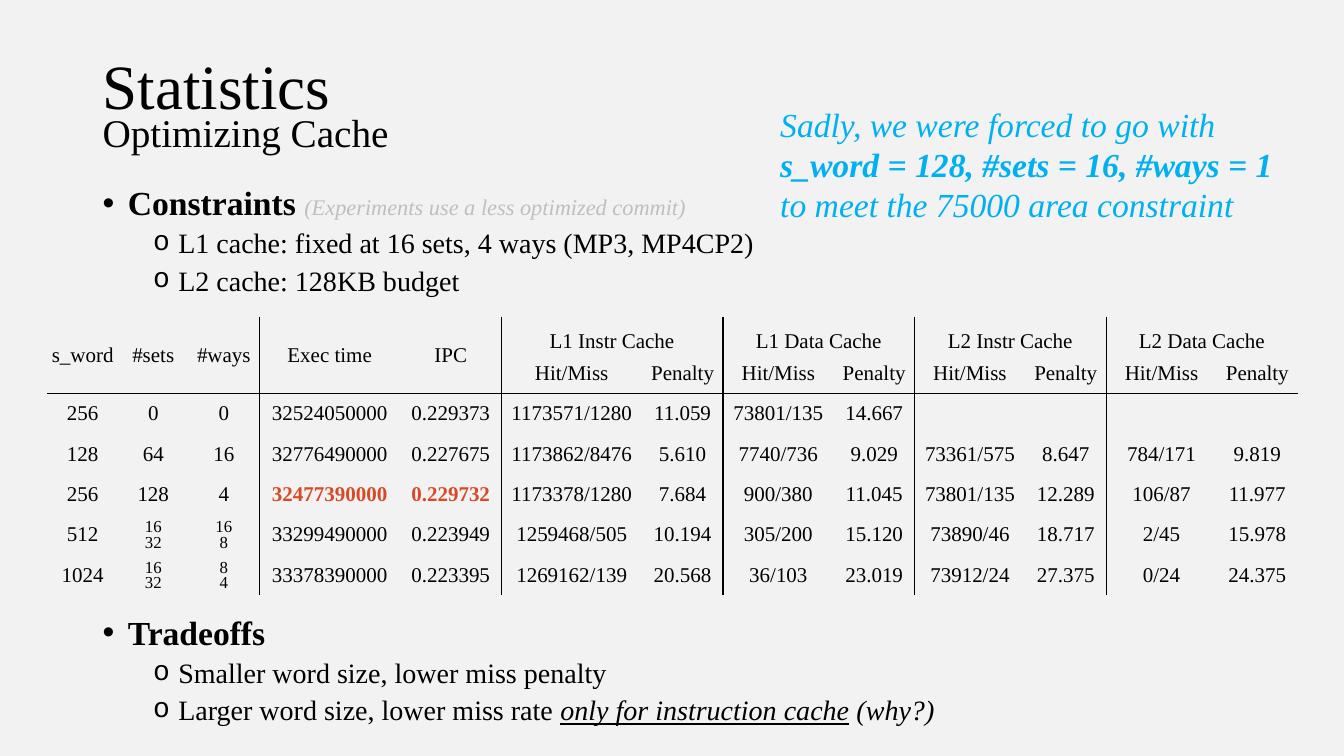
from lxml.etree import SubElement
from pptx import Presentation
from pptx.dml.color import RGBColor
from pptx.enum.text import MSO_ANCHOR, MSO_AUTO_SIZE, PP_ALIGN
from pptx.oxml import parse_xml
from pptx.oxml.ns import nsdecls, qn
from pptx.util import Pt

PX = 9144
FONT = "Times New Roman"
BLACK = RGBColor(0x00, 0x00, 0x00)
GREY = RGBColor(0xBF, 0xBF, 0xBF)
BLUE = RGBColor(0x00, 0xB0, 0xF0)
RED = RGBColor(0xD8, 0x4A, 0x27)
PAPER = RGBColor(0xF2, 0xF2, 0xF2)


def write(par, text, size=20, color=BLACK, bold=False, italic=False, under=False):
    run = par.add_run()
    run.text = text
    font = run.font
    font.name, font.size, font.color.rgb = FONT, Pt(size), color
    font.bold, font.italic, font.underline = bold, italic, under


def edge(props, index, side, width):
    fill = '<a:solidFill><a:srgbClr val="000000"/></a:solidFill>' if width else "<a:noFill/>"
    props.insert(index, parse_xml(
        f'<a:{side} {nsdecls("a")} w="{Pt(width)}">{fill}</a:{side}>'))


deck = Presentation()
deck.slide_width, deck.slide_height = 1333 * PX, 750 * PX
slide = deck.slides.add_slide(deck.slide_layouts[5])
slide.background.fill.solid()
slide.background.fill.fore_color.rgb = PAPER
shapes = slide.shapes

body = shapes.add_textbox(92 * PX, 180 * PX, 1150 * PX, 600 * PX).text_frame
body.word_wrap = True
points = [
    (0, 10, [("Constraints ", dict(size=24, bold=True)),
             ("(Experiments use a less optimized commit)",
              dict(size=16, color=GREY, italic=True))]),
    (1, 5, [("L1 cache: fixed at 16 sets, 4 ways (MP3, MP4CP2)", {})]),
    (1, 5, [("L2 cache: 128KB budget", {})]),
    (0, 228, [("Tradeoffs", dict(size=24, bold=True))]),
    (1, 5, [("Smaller word size, lower miss penalty", {})]),
    (1, 5, [("Larger word size, lower miss rate ", {}),
            ("only for instruction cache", dict(italic=True, under=True)),
            (" (why?)", dict(italic=True))]),
]
for row, (level, gap, runs) in enumerate(points):
    par = body.add_paragraph() if row else body.paragraphs[0]
    par.level, par.line_spacing, par.space_before = level, 0.9, Pt(gap)
    for text, form in runs:
        write(par, text, **form)
    props = par._p.get_or_add_pPr()
    props.set("marL", str((25 + 50 * level) * PX))
    props.set("indent", str(-25 * PX))
    face, mark = [("Arial", "•"), ("Courier New", "o")][level]
    SubElement(props, qn("a:buFont")).set("typeface", face)
    SubElement(props, qn("a:buChar")).set("char", mark)

title = shapes.title
title.left, title.top, title.width, title.height = 92 * PX, 38 * PX, 300 * PX, 100 * PX
sub = shapes.add_textbox(92 * PX, 104 * PX, 360 * PX, 60 * PX)
for shape, text, size in [(title, "Statistics", 45), (sub, "Optimizing Cache", 28)]:
    frame = shape.text_frame
    frame.word_wrap, frame.auto_size = True, MSO_AUTO_SIZE.NONE
    frame.vertical_anchor = MSO_ANCHOR.MIDDLE
    par = frame.paragraphs[0]
    par.alignment, par.line_spacing = PP_ALIGN.LEFT, 0.9
    write(par, text, size=size)

heads = ["s_word", "#sets", "#ways", "Exec time", "IPC", "L1 Instr Cache", "",
         "L1 Data Cache", "", "L2 Instr Cache", "", "L2 Data Cache", ""]
data = [
    heads,
    [""] * 5 + ["Hit/Miss", "Penalty"] * 4,
    ["256", "0", "0", "32524050000", "0.229373", "1173571/1280", "11.059",
     "73801/135", "14.667", "", "", "", ""],
    ["128", "64", "16", "32776490000", "0.227675", "1173862/8476", "5.610",
     "7740/736", "9.029", "73361/575", "8.647", "784/171", "9.819"],
    ["256", "128", "4", "32477390000", "0.229732", "1173378/1280", "7.684",
     "900/380", "11.045", "73801/135", "12.289", "106/87", "11.977"],
    ["512", "16\n32", "16\n8", "33299490000", "0.223949", "1259468/505", "10.194",
     "305/200", "15.120", "73890/46", "18.717", "2/45", "15.978"],
    ["1024", "16\n32", "8\n4", "33378390000", "0.223395", "1269162/139", "20.568",
     "36/103", "23.019", "73912/24", "27.375", "0/24", "24.375"],
]
widths = [70, 70, 70, 140, 100, 140, 80] + [110, 80] * 3
rules = {2: 1, 4: 1, 6: 1, 8: 0.5, 10: 0.5}
best = [(4, 3), (4, 4)]

grid = shapes.add_table(7, 13, 47 * PX, 314 * PX, 1240 * PX, 276 * PX).table
grid.first_row = grid.horz_banding = False
grid._tbl.tblPr.find(qn("a:tableStyleId")).text = "{2D5ABB26-0587-4C30-8999-92F81FD0307C}"
for col, width in zip(grid.columns, widths):
    col.width = width * PX
for row, line in enumerate(grid.rows):
    line.height = (40 if row else 36) * PX
for col in range(5):
    grid.cell(0, col).merge(grid.cell(1, col))
for col in range(5, 13, 2):
    grid.cell(0, col).merge(grid.cell(0, col + 1))

for row, line in enumerate(data):
    for col, text in enumerate(line):
        cell = grid.cell(row, col)
        cell.margin_left = cell.margin_right = cell.margin_top = PX
        cell.margin_bottom = 0
        group = row == 0 and col > 4
        cell.vertical_anchor = MSO_ANCHOR.BOTTOM if group else MSO_ANCHOR.MIDDLE
        cell.fill.background()
        parts = text.split("\n") if text else []
        for num, part in enumerate(parts):
            par = cell.text_frame.add_paragraph() if num else cell.text_frame.paragraphs[0]
            par.alignment = PP_ALIGN.CENTER
            if num:
                par.line_spacing = 0.8
            top = (row, col) in best
            write(par, part, size=12 if len(parts) > 1 else 15,
                  color=RED if top else BLACK, bold=top)
        last = col + 1 if group and col % 2 else col
        under = row == 1 or (row == 0 and col < 5)
        sides = [("lnL", rules.get(col - 1, 0)), ("lnR", rules.get(last, 0)),
                 ("lnT", int(row == 2)), ("lnB", int(under))]
        for index, (side, width) in enumerate(sides):
            edge(cell._tc.get_or_add_tcPr(), index, side, width)

note = shapes.add_textbox(764 * PX, 98 * PX, 570 * PX, 131 * PX).text_frame
note.word_wrap, note.auto_size = True, MSO_AUTO_SIZE.SHAPE_TO_FIT_TEXT
lines = ["Sadly, we were forced to go with", "s_word = 128, #sets = 16, #ways = 1",
         "to meet the 75000 area constraint"]
for row, text in enumerate(lines):
    par = note.add_paragraph() if row else note.paragraphs[0]
    write(par, text, size=24, color=BLUE, bold=row == 1, italic=True)

deck.save("out.pptx")
